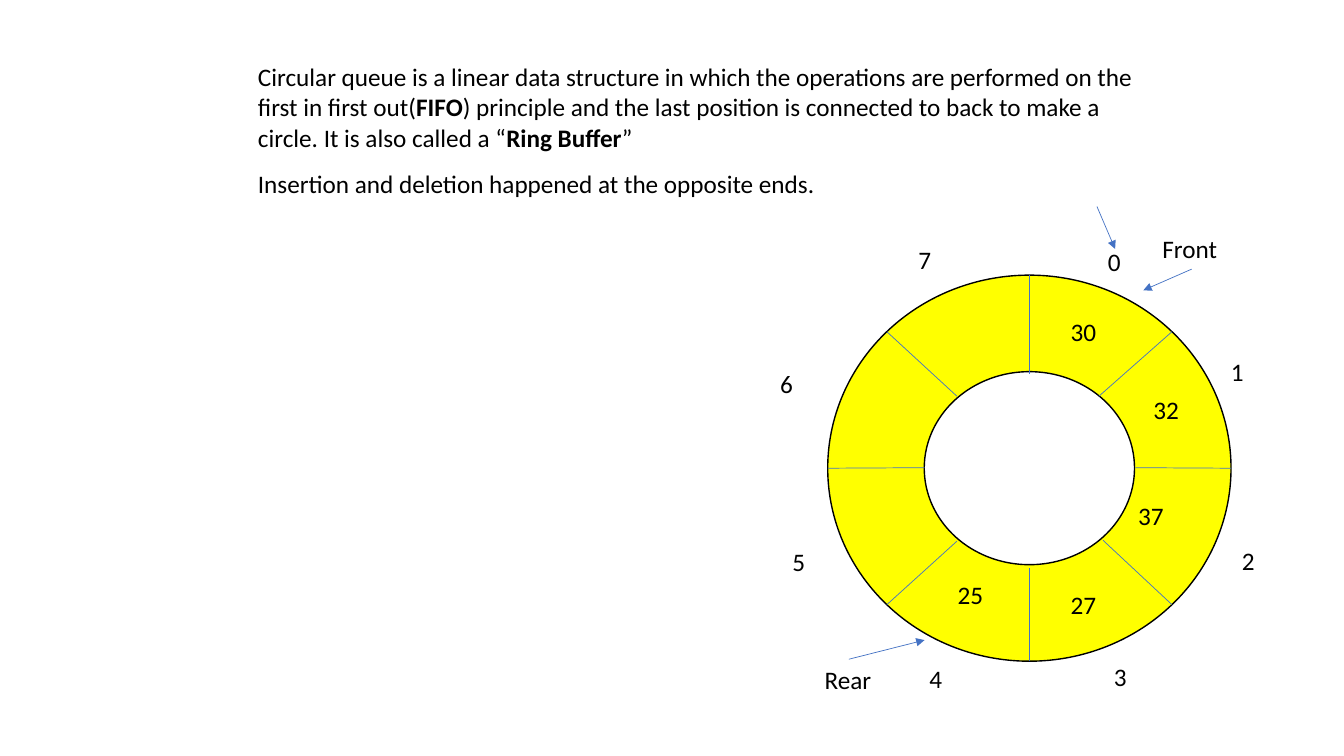
import math

import pptx
import pptx.util
from lxml import etree
from pptx.dml.color import RGBColor
from pptx.enum.shapes import MSO_CONNECTOR, MSO_SHAPE
from pptx.enum.text import MSO_AUTO_SIZE
from pptx.oxml.ns import qn
from pptx.util import Inches

COLORS = {"text": "000000", "ring": "FFFF00", "outline": "000000", "line": "4472C4"}


class SlideBuilder:
    font_name = "Calibri"
    font_size = 18

    def __init__(self, slide):
        self.slide = slide

    def color(self, name):
        return RGBColor.from_string(COLORS[name])

    def text(self, left, top, width, height, runs):
        box = self.slide.shapes.add_textbox(*map(Inches, (left, top, width, height)))
        frame = box.text_frame
        frame.word_wrap = True
        frame.auto_size = MSO_AUTO_SIZE.SHAPE_TO_FIT_TEXT
        paragraph = frame.paragraphs[0]
        paragraph.font.name = self.font_name
        paragraph.font.size = pptx.util.Pt(self.font_size)
        paragraph.font.color.rgb = self.color("text")
        for words, bold in runs:
            run = paragraph.add_run()
            run.text = words
            if bold:
                run.font.bold = True

    def label(self, left, top, words, width=0.54):
        self.text(left, top, width, 0.4, [(words, False)])

    def ring(self, left, top, width, height):
        shape = self.slide.shapes.add_shape(
            MSO_SHAPE.DONUT, *map(Inches, (left, top, width, height)))
        shape.shadow.inherit = False
        shape.fill.solid()
        shape.fill.fore_color.rgb = self.color("ring")
        shape.line.color.rgb = self.color("outline")
        shape.line.width = pptx.util.Pt(1)

    def line(self, start, end, arrow=False):
        connector = self.slide.shapes.add_connector(
            MSO_CONNECTOR.STRAIGHT, *map(Inches, (*start, *end)))
        connector.line.color.rgb = self.color("line")
        connector.line.width = pptx.util.Pt(0.5)
        properties = connector._element.spPr
        if arrow:
            etree.SubElement(properties.find(qn("a:ln")), qn("a:tailEnd"), type="triangle")
        etree.SubElement(properties, qn("a:effectLst"))


presentation = pptx.Presentation()
presentation.slide_width = Inches(13.33)
presentation.slide_height = Inches(7.5)
builder = SlideBuilder(presentation.slides.add_slide(presentation.slide_layouts[6]))

builder.text(2.46, 1.62, 6.82, 0.4,
             [("Insertion and deletion happened at the opposite ends.", False)])
builder.text(2.46, 0.56, 9.15, 1.01, [
    ("Circular queue is a linear data structure in which the operations are "
     "performed on the first in first out(", False),
    ("FIFO", True),
    (") principle and the last position is connected to back to make a circle. "
     "It is also called a “", False),
    ("Ring Buffer", True),
    ("”", False),
])

ring_left, ring_top, ring_width, ring_height = 8.21, 2.73, 4, 3.83
builder.ring(ring_left, ring_top, ring_width, ring_height)

center_x = ring_left + ring_width / 2
center_y = ring_top + ring_height / 2
spoke_inner_ends = [
    (10.21, 3.71), (10.9, 3.93), (11.26, 4.64), (10.94, 5.36),
    (10.21, 5.64), (9.49, 5.37), (9.17, 4.64), (9.49, 3.93),
]
for position, inner_end in enumerate(spoke_inner_ends):
    angle = math.radians(45 * position)
    outer_end = (center_x + ring_width / 2 * math.sin(angle),
                 center_y - ring_height / 2 * math.cos(angle))
    builder.line(inner_end, outer_end)

queue_values = [
    (10.52, 3.09, "30"), (11.34, 3.86, "32"), (11.19, 4.91, "37"),
    (10.52, 5.8, "27"), (9.4, 5.7, "25"),
]
for left, top, value in queue_values:
    builder.label(left, top, value)

index_places = [
    (10.89, 2.39), (12.11, 3.49), (12.22, 5.36), (10.95, 6.51),
    (9.12, 6.53), (7.76, 5.37), (7.64, 3.61), (9.01, 2.37),
]
for index, (left, top) in enumerate(index_places):
    builder.label(left, top, str(index))

builder.label(11.43, 2.27, "Front", width=0.78)
builder.label(8.08, 6.54, "Rear", width=0.69)

pointers = [
    ((8.42, 6.54), (9.17, 6.35)),
    ((11.82, 2.67), (11.34, 2.88)),
    ((10.88, 2.05), (11.06, 2.47)),
]
for start, end in pointers:
    builder.line(start, end, arrow=True)

presentation.save("out.pptx")
